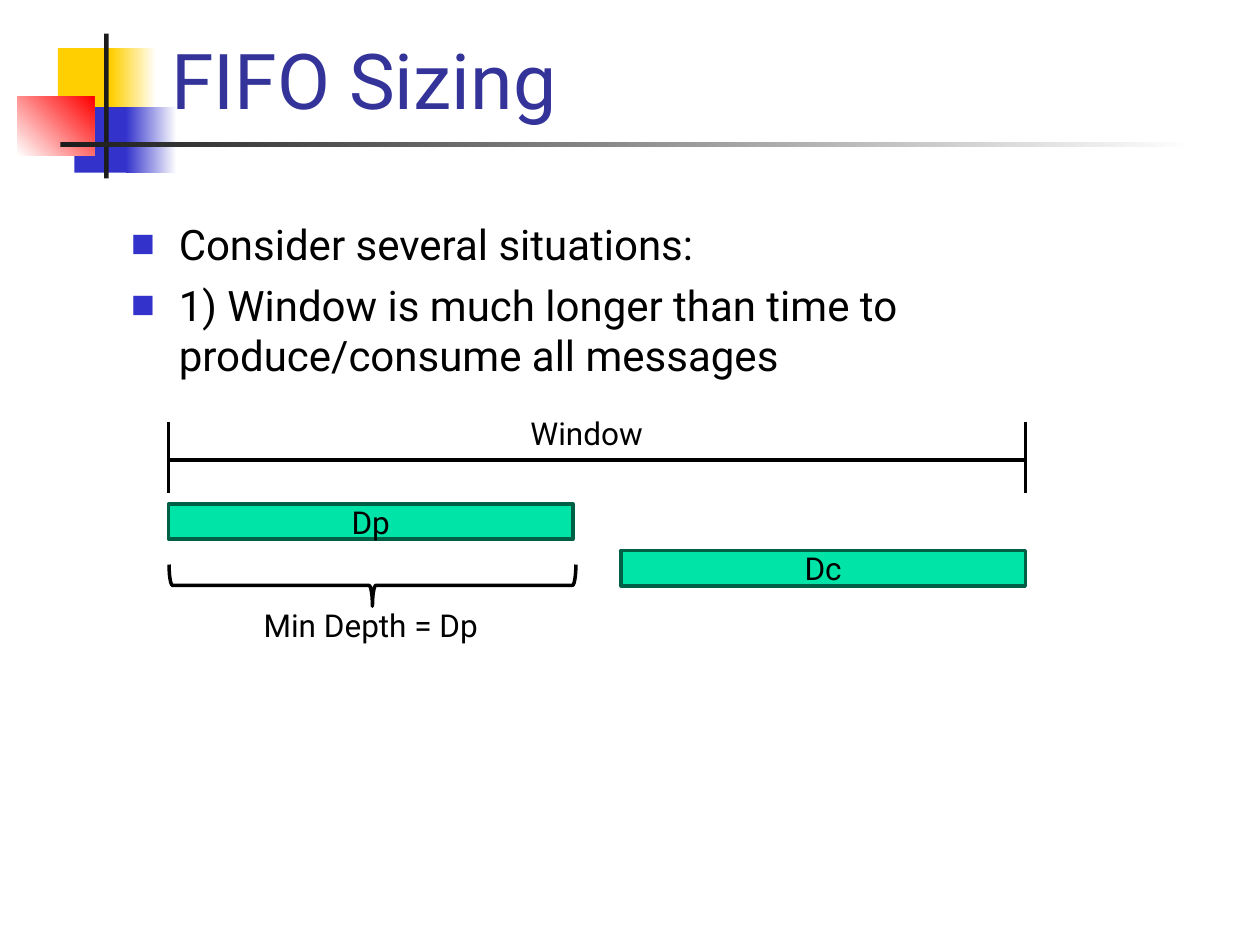
from typing import NamedTuple, Optional

from lxml import etree
from pptx import Presentation
from pptx import util as u
from pptx.dml.color import RGBColor
from pptx.enum import shapes, text
from pptx.oxml import ns

FONT = "Roboto"
COLORS = {
    "yellow": "FFCF01",
    "blue": "3333CC",
    "red": "FF0000",
    "white": "FFFFFF",
    "dark": "1C1C1C",
    "title": "333399",
    "black": "000000",
    "bar": "00E4A8",
    "bar_edge": "006045",
}


class Box(NamedTuple):
    """Position and size in centimetres."""
    left: float
    top: float
    width: float
    height: float

    def lengths(self) -> list:
        return [u.Cm(value) for value in self]


class Ornament(NamedTuple):
    box: Box
    start: str
    end: Optional[str] = None
    angle: float = 0


class Label(NamedTuple):
    box: Box
    caption: str


class Line(NamedTuple):
    x1: float
    y1: float
    x2: float
    y2: float


# Timing diagram measures
LEFT, RIGHT = 3.4, 20.67
BAR_WIDTH, BAR_HEIGHT = 8.15, 0.71

ORNAMENTS = [
    Ornament(Box(1.17, 0.97, 1.22, 1.32), "yellow"),
    Ornament(Box(2.24, 0.97, 0.91, 1.32), "yellow", "white"),
    Ornament(Box(1.5, 2.16, 1.17, 1.32), "blue"),
    Ornament(Box(2.54, 2.16, 1.02, 1.32), "blue", "white"),
    Ornament(Box(0.35, 1.95, 1.55, 1.18), "white", "red", 45),
    Ornament(Box(2.1, 0.68, 0.09, 2.92), "dark"),
    Ornament(Box(1.22, 2.87, 22.86, 0.09), "dark", "white"),
]
BARS = [
    Label(Box(LEFT, 10.16, BAR_WIDTH, BAR_HEIGHT), "Dp"),
    Label(Box(RIGHT - BAR_WIDTH, 11.1, BAR_WIDTH, BAR_HEIGHT), "Dc"),
]
CAPTIONS = [
    Label(Box(7.75, 8.38, BAR_WIDTH, BAR_HEIGHT), "Window"),
    Label(Box(LEFT, 12.24, BAR_WIDTH, BAR_HEIGHT), "Min Depth = Dp"),
]
WINDOW_LINES = [
    Line(LEFT, 8.51, LEFT, 9.93),
    Line(RIGHT, 8.51, RIGHT, 9.93),
    Line(LEFT, 9.27, RIGHT, 9.27),
]
BULLETS = [
    "Consider several situations:",
    "1) Window is much longer than time to produce/consume all messages",
]


def color(name: str) -> RGBColor:
    return RGBColor.from_string(COLORS[name])


def add_run(paragraph, words: str, size: float, color_name: str) -> None:
    run = paragraph.add_run()
    run.text = words
    run.font.name = FONT
    run.font.size = u.Pt(size)
    run.font.color.rgb = color(color_name)


def set_line(shape, color_name: str) -> None:
    shape.line.color.rgb = color(color_name)
    shape.line.width = u.Pt(2)


def write_label(shape, words: str) -> None:
    frame = shape.text_frame
    frame.word_wrap = True
    frame.vertical_anchor = text.MSO_ANCHOR.MIDDLE
    paragraph = frame.paragraphs[0]
    paragraph.alignment = text.PP_ALIGN.CENTER
    add_run(paragraph, words, 18, "black")


def add_ornament(slide, ornament: Ornament) -> None:
    shape = slide.shapes.add_shape(shapes.MSO_SHAPE.RECTANGLE, *ornament.box.lengths())
    shape.shadow.inherit = False
    shape.line.fill.background()
    if ornament.end is None:
        shape.fill.solid()
        shape.fill.fore_color.rgb = color(ornament.start)
        return
    shape.fill.gradient()
    shape.fill.gradient_angle = ornament.angle
    for stop, name in zip(shape.fill.gradient_stops, (ornament.start, ornament.end)):
        stop.color.rgb = color(name)


def add_bar(slide, bar: Label) -> None:
    shape = slide.shapes.add_shape(shapes.MSO_SHAPE.RECTANGLE, *bar.box.lengths())
    shape.shadow.inherit = False
    shape.fill.solid()
    shape.fill.fore_color.rgb = color("bar")
    set_line(shape, "bar_edge")
    write_label(shape, bar.caption)


def add_line(slide, line: Line) -> None:
    connector = slide.shapes.add_connector(
        shapes.MSO_CONNECTOR.STRAIGHT, *[u.Cm(value) for value in line])
    set_line(connector, "black")
    etree.SubElement(connector._element.spPr, ns.qn("a:effectLst"))


def add_brace(slide, box: Box) -> None:
    brace = slide.shapes.add_shape(shapes.MSO_SHAPE.LEFT_BRACE, *box.lengths())
    brace.rotation = 270
    brace.shadow.inherit = False
    brace.fill.background()
    set_line(brace, "black")


def place(placeholder, box: Box, anchor) -> None:
    """Move a placeholder and bring it in front of the ornaments."""
    placeholder.left, placeholder.top, placeholder.width, placeholder.height = box.lengths()
    frame = placeholder.text_frame
    frame.auto_size = text.MSO_AUTO_SIZE.NONE
    frame.word_wrap = True
    frame.vertical_anchor = anchor
    placeholder._element.getparent().append(placeholder._element)


def add_bullet(paragraph) -> None:
    properties = paragraph._p.get_or_add_pPr()
    properties.set("marL", str(u.Cm(0.96)))
    properties.set("indent", str(u.Cm(-0.96)))
    bullet_color = etree.SubElement(properties, ns.qn("a:buClr"))
    etree.SubElement(bullet_color, ns.qn("a:srgbClr"), val=COLORS["blue"])
    etree.SubElement(properties, ns.qn("a:buSzPct"), val="60000")
    etree.SubElement(properties, ns.qn("a:buFont"), typeface=FONT)
    etree.SubElement(properties, ns.qn("a:buChar"), char="■")


def main() -> None:
    presentation = Presentation()
    presentation.slide_width, presentation.slide_height = u.Cm(25.4), u.Cm(19.05)
    slide = presentation.slides.add_slide(presentation.slide_layouts[1])

    # Corner ornament and rule
    for ornament in ORNAMENTS:
        add_ornament(slide, ornament)

    # Title
    title = slide.shapes.title
    place(title, Box(3.2, 0, 21.64, 2.64), text.MSO_ANCHOR.BOTTOM)
    heading = title.text_frame.paragraphs[0]
    heading.alignment = text.PP_ALIGN.LEFT
    add_run(heading, "FIFO Sizing", 44, "title")

    # Bullet list
    body = slide.placeholders[1]
    place(body, Box(2.39, 4.27, 21.59, 6.73), text.MSO_ANCHOR.TOP)
    for index, words in enumerate(BULLETS):
        frame = body.text_frame
        paragraph = frame.add_paragraph() if index else frame.paragraphs[0]
        add_bullet(paragraph)
        paragraph.space_before = u.Pt(6 if index else 0)
        add_run(paragraph, words, 24, "black")

    # Timing diagram
    for bar in BARS:
        add_bar(slide, bar)
    for line in WINDOW_LINES:
        add_line(slide, line)
    add_brace(slide, Box(7.09, 7.7, 0.84, 8.2))
    for caption in CAPTIONS:
        write_label(slide.shapes.add_textbox(*caption.box.lengths()), caption.caption)

    presentation.save("out.pptx")


if __name__ == "__main__":
    main()
